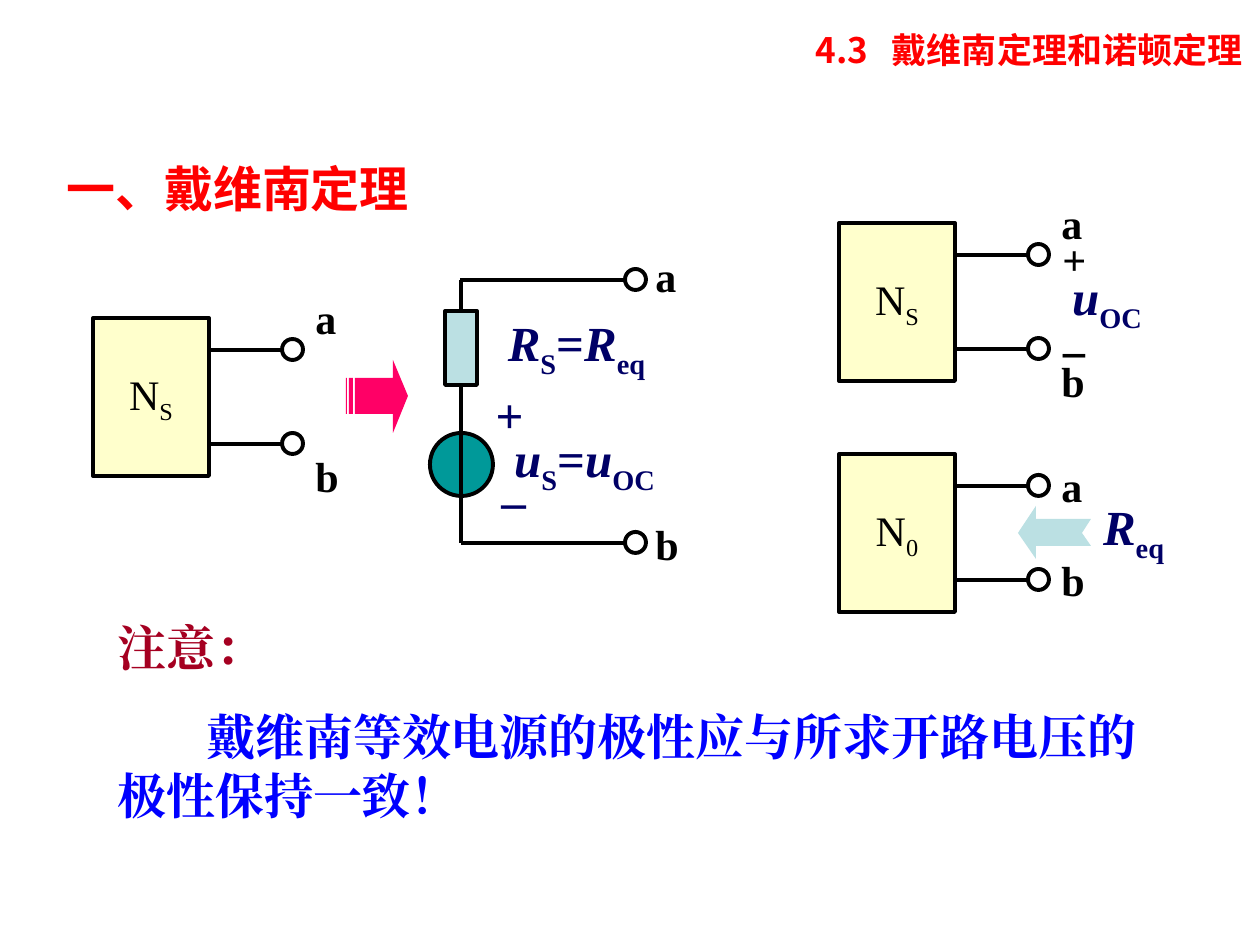
from lxml import etree
from pptx import Presentation
from pptx.dml.color import RGBColor
from pptx.enum.shapes import MSO_CONNECTOR, MSO_SHAPE
from pptx.enum.text import MSO_ANCHOR as ANCHOR, PP_ALIGN as ALIGN
from pptx.oxml.ns import qn
from pptx.util import Pt

PX = 914400 / 126
SERIF, SANS = "Times New Roman", "Noto Sans CJK SC"
COLORS = {
    "black": "000000", "white": "FFFFFF", "red": "FF0000", "blue": "0000FF",
    "navy": "000066", "crimson": "A50021", "cream": "FFFFCC",
    "ice": "BBE0E3", "teal": "009999", "pink": "FF0066",
}


def color(name):
    return RGBColor.from_string(COLORS[name])


def write(paragraph, runs, size, ink, bold=True, font=SERIF, line=1.2):
    """Add (text, style) runs; style may hold i for italic and _ for subscript."""
    if line:
        paragraph.line_spacing = Pt(round(size * line, 1))
    for text, style in runs:
        run = paragraph.add_run()
        run.text = text
        run.font.size = Pt(size)
        run.font.bold = bold
        run.font.italic = "i" in style
        run.font.color.rgb = color(ink)
        run.font.name = font
        properties = run._r.get_or_add_rPr()
        etree.SubElement(properties, qn("a:ea")).set("typeface", font)
        if "_" in style:
            properties.set("baseline", "-25000")


prs = Presentation()
prs.slide_width, prs.slide_height = round(1260 * PX), round(945 * PX)
slide = prs.slides.add_slide(prs.slide_layouts[6])
shapes = slide.shapes

# Shapes, back to front: kind, left, top, width, height, fill
blocks = [
    (MSO_SHAPE.OVAL, 430, 433, 63, 63, "teal"),
]
# Wires: x1, y1, x2, y2
wires = [
    (461, 280, 461, 543),
    (461, 543, 636, 543),
    (460, 280, 636, 280),
]
# Terminal circles: left, centre y
terminals = [(625, 280), (625, 543)]
# Terminal letters: text, left, top
letters = [("a", 643, 244), ("b", 643, 512)]
# Networks: left, top, subscript, offsets of the letters a and b
networks = [
    (839, 454, "0", 0, 94),
    (839, 223, "S", -32, 126),
    (93, 318, "S", -32, 126),
]
for left, top, _, a_offset, b_offset in networks:
    blocks.append((MSO_SHAPE.RECTANGLE, left, top, 116, 158, "cream"))
    for offset in (32, 126):
        wires.append((left + 116, top + offset, left + 189, top + offset))
        terminals.append((left + 189, top + offset))
    letters += [("a", left + 210, top + a_offset), ("b", left + 210, top + b_offset)]

ends = [(MSO_SHAPE.OVAL, x, y - 11, 21, 21, "white") for x, y in terminals]
resistor = (MSO_SHAPE.RECTANGLE, 445, 311, 32, 74, "ice")
subscripts = [network[2] for network in networks]

for layer in (blocks, ends + [resistor]):
    for kind, left, top, width, height, fill in layer:
        part = shapes.add_shape(kind, *(round(v * PX) for v in (left, top, width, height)))
        part.shadow.inherit = False
        part.fill.solid()
        part.fill.fore_color.rgb = color(fill)
        part.line.color.rgb = color("black")
        part.line.width = Pt(2.25)
        if fill == "cream":
            part.text_frame.word_wrap = False
            part.text_frame.vertical_anchor = ANCHOR.MIDDLE
            name = part.text_frame.paragraphs[0]
            name.alignment = ALIGN.CENTER
            write(name, [("N", ""), (subscripts.pop(0), "_")], 24, "black",
                  bold=False, line=1.36)
    if layer is blocks:
        for wire in wires:
            lead = shapes.add_connector(MSO_CONNECTOR.STRAIGHT, *(round(v * PX) for v in wire))
            lead.line.color.rgb = color("black")
            lead.line.width = Pt(2.25)
            etree.SubElement(lead._element.spPr, qn("a:effectLst"))

# Block arrows: fill and outlines
arrows = [
    ("ice", [[(1091, 519), (1036, 519), (1036, 506), (1018, 533), (1036, 559),
              (1036, 546), (1091, 546), (1082, 533)]]),
    ("pink", [[(355, 378), (393, 378), (393, 360), (408, 396), (393, 433),
               (393, 414), (355, 414)],
              [(346, 378), (347, 378), (347, 414), (346, 414)],
              [(349, 378), (353, 378), (353, 414), (349, 414)]]),
]
for fill, outlines in arrows:
    builder = shapes.build_freeform(*outlines[0][0], scale=PX)
    for index, outline in enumerate(outlines):
        if index:
            builder.move_to(*outline[0])
        builder.add_line_segments(outline[1:], close=True)
    arrow = builder.convert_to_shape()
    arrow.shadow.inherit = False
    arrow.fill.solid()
    arrow.fill.fore_color.rgb = color(fill)
    arrow.line.fill.background()

# Text boxes: place, anchor, alignment, wrap, paragraphs of (runs, style)
formula = {"size": 28, "ink": "navy", "line": 1.36}
sign = {"size": 28, "ink": "navy"}
letter = {"size": 24, "ink": "black"}
center = (ANCHOR.MIDDLE, ALIGN.CENTER)
start = (ANCHOR.TOP, ALIGN.LEFT)
texts = [
    ((54, 135, 417, 105), ANCHOR.MIDDLE, ALIGN.LEFT, True,
     [([("一、戴维南定理", "")], {"size": 28, "ink": "red", "font": SANS, "line": None})]),
    ((1081, 491, 105, 79), *center, True, [([("R", "i"), ("eq", "_")], formula)]),
    ((1028, 261, 158, 79), *center, True, [([("u", "i"), ("OC", "_")], formula)]),
    ((1050, 227, 94, 140), *start, True,
     [([("+", "")], letter), ([("_", "")], {**letter, "font": SANS})]),
    ((483, 378, 53, 72), *center, False, [([("+", "")], sign)]),
    ((489, 447, 49, 72), *center, False, [([("_", "")], sign)]),
    ((469, 423, 231, 79), *center, True,
     [([("u", "i"), ("S", "_"), ("=", ""), ("u", "i"), ("OC", "_")], formula)]),
    ((495, 307, 163, 79), *center, False,
     [([("R", "i"), ("S", "_"), ("=", ""), ("R", "i"), ("eq", "_")], formula)]),
    ((105, 611, 1082, 220), *start, True,
     [([("注意：", "")], {"size": 28, "ink": "crimson"}),
      ([("戴维南等效电源的极性应与所求开路电压的极性保持一致！", "")],
       {"size": 28, "ink": "blue"})]),
    ((184, 18, 1071, 59), ANCHOR.TOP, ALIGN.RIGHT, True,
     [([("4.3", ""), (" ", ""), ("戴维南定理和诺顿定理", "")],
       {"size": 20, "ink": "red", "font": SANS, "line": 1.32})]),
]
for text, left, top in letters:
    texts.append(((left, top, 94, 63), *start, True, [([(text, "")], letter)]))

for place, anchor, alignment, wrap, paragraphs in texts:
    frame = shapes.add_textbox(*(round(v * PX) for v in place)).text_frame
    frame.word_wrap = wrap
    frame.vertical_anchor = anchor
    for index, (runs, style) in enumerate(paragraphs):
        paragraph = frame.add_paragraph() if index else frame.paragraphs[0]
        paragraph.alignment = alignment
        if index:
            paragraph.space_before = Pt(style["size"] * 0.625)
        write(paragraph, runs, **style)
        if style["ink"] == "blue":
            paragraph._p.get_or_add_pPr().set("indent", str(round(89 * PX)))
        for run in paragraph.runs:
            if run.text == " ":
                run._r.get_or_add_rPr().set("spc", "900")

prs.save("out.pptx")
